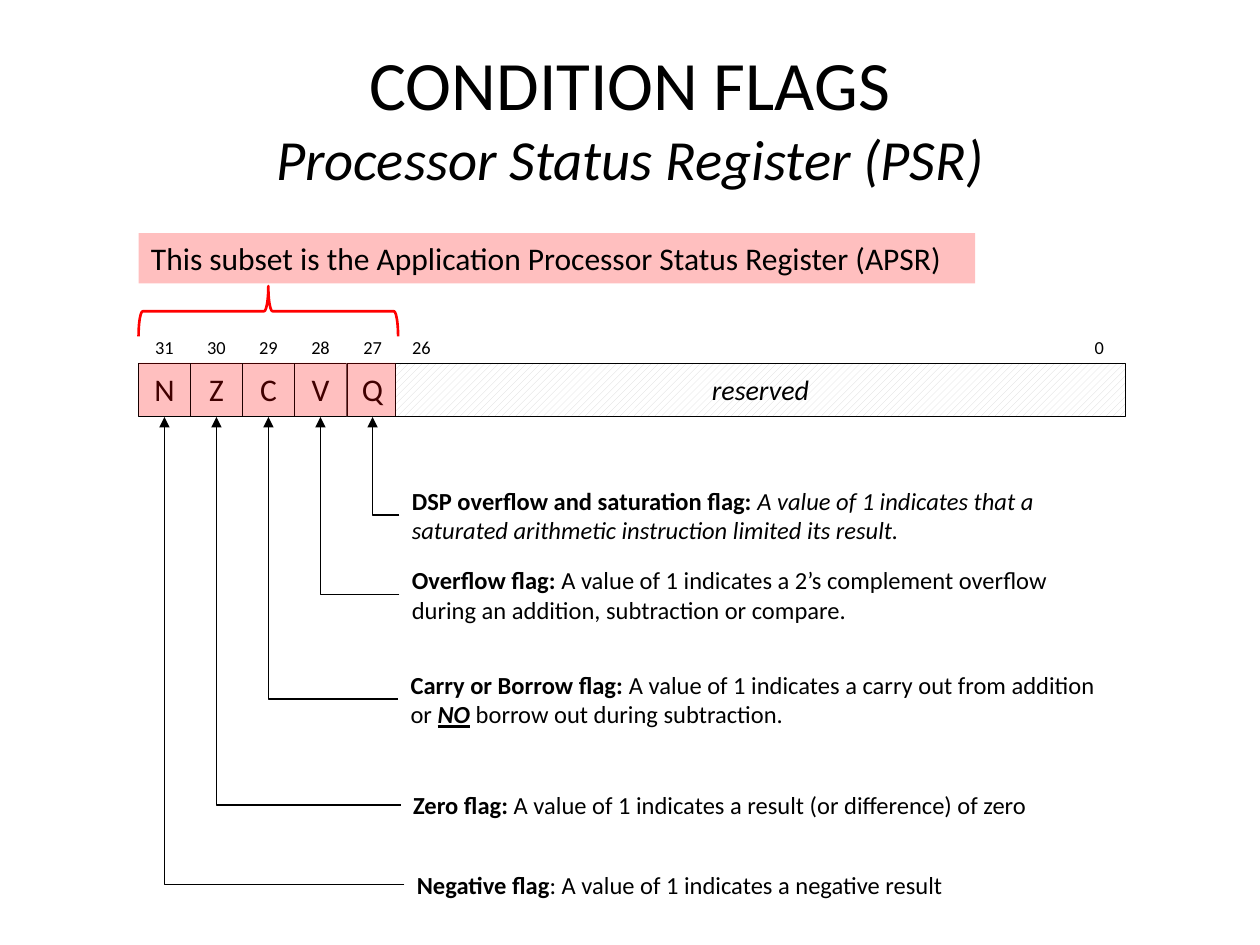
"""Build the slide on the condition flags of the Processor Status Register."""
from lxml import etree
from pptx import Presentation
from pptx.dml.color import RGBColor
from pptx.enum.dml import MSO_PATTERN
from pptx.enum.shapes import MSO_CONNECTOR, MSO_SHAPE
from pptx.enum.text import MSO_ANCHOR, PP_ALIGN
from pptx.oxml.ns import qn
from pptx.util import Inches, Pt

RECTANGLE, BRACE = MSO_SHAPE.RECTANGLE, MSO_SHAPE.RIGHT_BRACE
ELBOW = MSO_CONNECTOR.ELBOW
DIAGONAL = MSO_PATTERN.WIDE_UPWARD_DIAGONAL
LEFT, CENTER = PP_ALIGN.LEFT, PP_ALIGN.CENTER
TOP, MIDDLE, BOTTOM = MSO_ANCHOR.TOP, MSO_ANCHOR.MIDDLE, MSO_ANCHOR.BOTTOM
BLACK, WHITE, RED, GREY = "000000", "FFFFFF", "FF0000", "D9D9D9"
REGISTER_LEFT, REGISTER_TOP, CELL = 1.1, 2.88, 0.41
ROW = 0.42
RESERVED_LEFT, RESERVED_WIDTH = 3.14, 5.79
NOTE_HEIGHT = 0.73

deck = Presentation()
deck.slide_width, deck.slide_height = Inches(10), Inches(7.5)
page = deck.slides.add_slide(deck.slide_layouts[6])


def paint(fill, color, alpha=100):
    fill.solid()
    fill.fore_color.rgb = RGBColor.from_string(color)
    if alpha < 100:
        tint = fill._xPr.find(qn("a:solidFill"))[0]
        etree.SubElement(tint, qn("a:alpha"), val=str(alpha * 1000))


def write(spans, left, top, width, height, size=18, align=CENTER, anchor=MIDDLE,
          fill=None, alpha=100, outline=None, inset=0.1):
    box = page.shapes.add_shape(
        RECTANGLE, Inches(left), Inches(top), Inches(width), Inches(height))
    box.shadow.inherit = False
    if fill:
        paint(box.fill, fill, alpha)
    else:
        box.fill.background()
    if outline:
        paint(box.line.fill, outline)
        box.line.width = Pt(0.25)
    else:
        box.line.fill.background()
    frame = box.text_frame
    frame.word_wrap = True
    frame.vertical_anchor = anchor
    frame.margin_left = frame.margin_right = Inches(inset)
    para = frame.paragraphs[0]
    para.alignment = align
    for text, style, *own_size in spans:
        if text == "\n":
            para.add_line_break()
            continue
        span = para.add_run()
        span.text = text
        font = span.font
        font.name, font.size = "Calibri", Pt(own_size[0] if own_size else size)
        font.bold, font.italic, font.underline = (mark in style for mark in "biu")
        paint(font.fill, BLACK)
    return box


write([("CONDITION FLAGS", "", 39.6), ("\n", ""),
       ("Processor Status Register (PSR)", "i", 32.4)], 0.5, 0.3, 9, 1.25)

flags = [
    ("N", 7.02, 3.21, [("Negative flag", "b"),
                       (": A value of 1 indicates a negative result", "")]),
    ("Z", 6.39, 3.18, [("Zero flag:", "b"),
                       (" A value of 1 indicates a result (or difference) of zero", "")]),
    ("C", 5.55, 3.16, [("Carry or Borrow flag: ", "b"),
                       ("A value of 1 indicates a carry out from addition or ", ""),
                       ("NO", "biu"), (" borrow out during subtraction.", "")]),
    ("V", 4.72, 3.17, [("Overflow flag:", "b"),
                       (" A value of 1 indicates a 2’s complement overflow during an "
                        "addition, subtraction or compare.", "")]),
    ("Q", 4.09, 3.17, [("DSP overflow and saturation flag: ", "b"),
                       ("A value of 1 indicates that a saturated arithmetic "
                        "instruction limited its result.", "i")]),
]
cell_lefts = [REGISTER_LEFT + column * (CELL + 0.003) for column in range(len(flags))]

bits = [(str(31 - column), left) for column, left in enumerate(cell_lefts)]
bits += [("26", RESERVED_LEFT), ("0", RESERVED_LEFT + RESERVED_WIDTH - CELL)]
for bit, left in bits:
    write([(bit, "")], left, REGISTER_TOP - CELL, CELL, ROW, size=10.5,
          anchor=BOTTOM, fill=WHITE, inset=0)

for (letter, *_), left in zip(flags, cell_lefts):
    write([(letter, "")], left, REGISTER_TOP, CELL, ROW, fill=WHITE, outline=BLACK)

reserved = write([("reserved", "i")], RESERVED_LEFT, REGISTER_TOP, RESERVED_WIDTH, ROW,
                 size=16, outline=BLACK)
reserved.fill.patterned()
reserved.fill.pattern = DIAGONAL
reserved.fill.fore_color.rgb = RGBColor.from_string(GREY)
reserved.fill.back_color.rgb = RGBColor.from_string(WHITE)

for (letter, middle, note_left, note), left in reversed(list(zip(flags, cell_lefts))):
    write(note, note_left, middle - NOTE_HEIGHT / 2, RESERVED_WIDTH, NOTE_HEIGHT,
          size=14, align=LEFT, fill=WHITE)
    arrow = page.shapes.add_connector(
        ELBOW, Inches(note_left), Inches(middle),
        Inches(left + CELL / 2), Inches(REGISTER_TOP + ROW + 0.01))
    paint(arrow.line.fill, BLACK)
    arrow.line.width = Pt(1)
    properties = arrow._element.spPr
    properties.find(qn("a:prstGeom")).set("prst", "bentConnector2")
    etree.SubElement(properties.find(qn("a:ln")), qn("a:tailEnd"), type="triangle")
    etree.SubElement(properties, qn("a:effectLst"))

for left in cell_lefts:
    write([], left, REGISTER_TOP, min(CELL, RESERVED_LEFT - left), ROW,
          fill=RED, alpha=25)

brace = page.shapes.add_shape(BRACE, Inches(1.93), Inches(1.44), Inches(0.4), Inches(2.06))
brace.rotation = 270
brace.shadow.inherit = False
brace.fill.background()
paint(brace.line.fill, RED)
brace.line.width = Pt(1.5)

write([("This subset is the Application Processor Status Register (APSR)", "")],
      REGISTER_LEFT, 1.85, 6.64, 0.4, align=LEFT, anchor=TOP, fill=RED, alpha=25)

deck.save("out.pptx")
